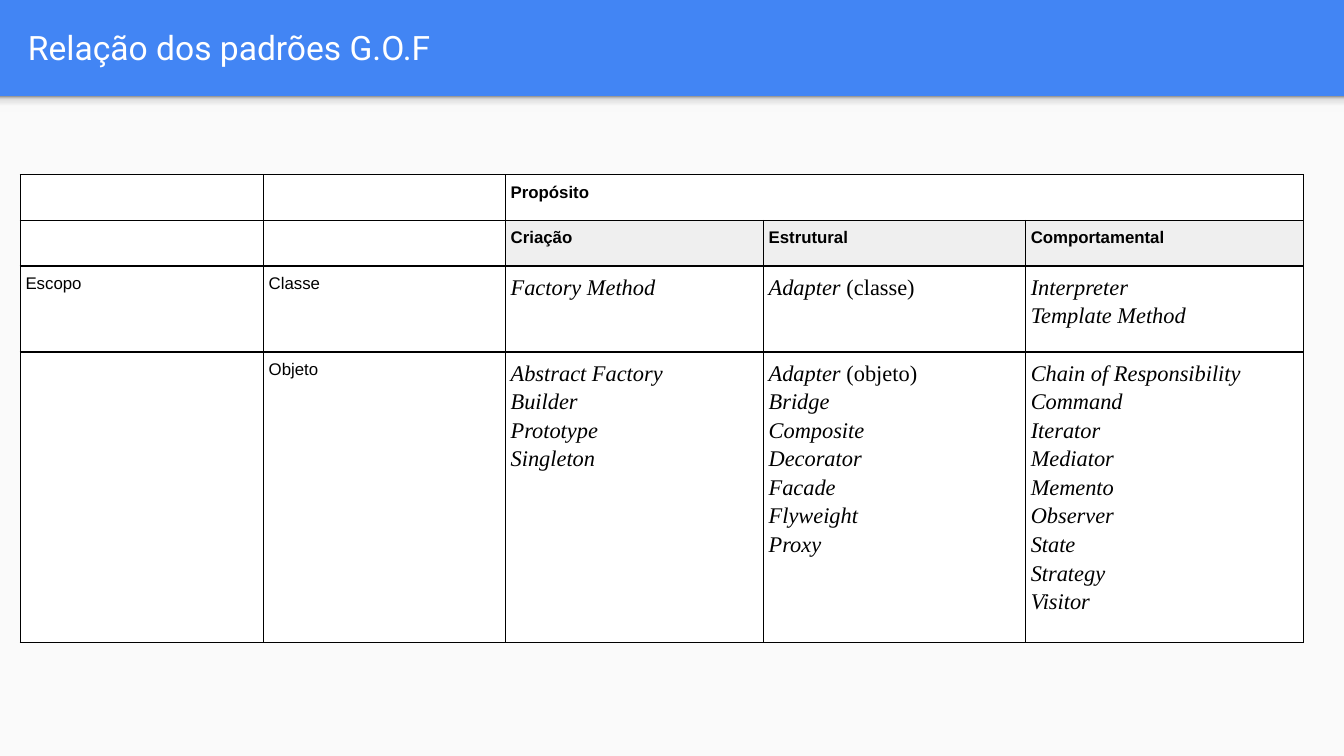
from lxml import etree
from pptx import Presentation
from pptx.dml.color import RGBColor
from pptx.enum.shapes import MSO_SHAPE
from pptx.enum.text import MSO_ANCHOR
from pptx.oxml import parse_xml
from pptx.oxml.ns import qn
from pptx.util import Inches, Pt

RECTANGLE = MSO_SHAPE.RECTANGLE
MIDDLE = MSO_ANCHOR.MIDDLE
DRAWING_NS = "http://schemas.openxmlformats.org/drawingml/2006/main"
COLORS = {
    "blue": "4285F4",
    "paper": "FAFAFA",
    "white": "FFFFFF",
    "header": "EFEFEF",
    "black": "000000",
}
SHADOW_STOPS = [(0, "F9F9F9"), (36, "F9F9F9"), (80, "DEDEDE"), (100, "999999")]


def add_text(paragraph, text, size=9, font="Arial", color="black",
             bold=False, italic=False, spacing=1.15):
    paragraph.line_spacing = spacing
    run = paragraph.add_run()
    run.text = text
    run.font.size = Pt(size)
    run.font.name = font
    run.font.bold = bold
    run.font.italic = italic
    run.font.color.rgb = RGBColor.from_string(COLORS[color])


def add_borders(cell, color="black", width=0.75):
    properties = cell._tc.get_or_add_tcPr()
    for index, side in enumerate(("lnL", "lnR", "lnT", "lnB")):
        line = etree.Element(qn(f"a:{side}"), w=str(Pt(width)))
        fill = etree.SubElement(line, qn("a:solidFill"))
        etree.SubElement(fill, qn("a:srgbClr"), val=COLORS[color])
        properties.insert(index, line)


# Widescreen slide, 16 by 9
presentation = Presentation()
presentation.slide_width = Inches(10)
presentation.slide_height = Inches(10) * 9 // 16
slide = presentation.slides.add_slide(presentation.slide_layouts[6])

# Blue background shows as the title band above the light body
slide.background.fill.solid()
slide.background.fill.fore_color.rgb = RGBColor.from_string(COLORS["blue"])

body_height = Inches(4.91)
body_top = presentation.slide_height - body_height
body = slide.shapes.add_shape(RECTANGLE, 0, body_top, Inches(10), body_height)
body.fill.solid()
body.fill.fore_color.rgb = RGBColor.from_string(COLORS["paper"])

# Soft shadow under the band, darkest at its top edge
band_shadow = slide.shapes.add_shape(RECTANGLE, 0, body_top, Inches(10), Inches(0.12))
stops = "".join(
    f'<a:gs pos="{position * 1000}"><a:srgbClr val="{color}"/></a:gs>'
    for position, color in SHADOW_STOPS
)
gradient = parse_xml(
    f'<a:gradFill xmlns:a="{DRAWING_NS}"><a:gsLst>{stops}</a:gsLst>'
    '<a:lin ang="16200000" scaled="0"/></a:gradFill>'
)
band_shadow._element.spPr.find(qn("a:prstGeom")).addnext(gradient)

for shape in (body, band_shadow):
    shape.line.fill.background()
    shape.shadow.inherit = False

# Title
title = slide.shapes.add_textbox(Inches(0.11), Inches(0.02), Inches(9.65), Inches(0.66))
frame = title.text_frame
frame.word_wrap = True
frame.vertical_anchor = MIDDLE
frame.margin_left = frame.margin_right = Inches(0.1)
frame.margin_top = frame.margin_bottom = Inches(0.1)
add_text(frame.paragraphs[0], "Relação dos padrões G.O.F",
         size=18, font="Roboto", color="white", spacing=1)

# Pattern table: each cell is a list of lines
column_widths = [1.81, 1.8, 1.92, 1.95, 2.07]
row_heights = [0.34, 0.34, 0.64, 2.16]
rows = [
    [[], [], ["Propósito"], [], []],
    [[], [], ["Criação"], ["Estrutural"], ["Comportamental"]],
    [["Escopo"], ["Classe"], ["Factory Method"], ["Adapter (classe)"],
     ["Interpreter", "Template Method"]],
    [[], ["Objeto"],
     ["Abstract Factory", "Builder", "Prototype", "Singleton"],
     ["Adapter (objeto)", "Bridge", "Composite", "Decorator", "Facade",
      "Flyweight", "Proxy"],
     ["Chain of Responsibility", "Command", "Iterator", "Mediator", "Memento",
      "Observer", "State", "Strategy", "Visitor"]],
]
table = slide.shapes.add_table(
    len(rows), len(column_widths), Inches(0.15), Inches(1.3),
    Inches(sum(column_widths)), Inches(sum(row_heights)),
).table
table.first_row = False
table.horz_banding = False
for column, width in zip(table.columns, column_widths):
    column.width = Inches(width)
for row, height in zip(table.rows, row_heights):
    row.height = Inches(height)
table.cell(0, 2).merge(table.cell(0, 4))

for row_index, row in enumerate(rows):
    for column_index, lines in enumerate(row):
        cell = table.cell(row_index, column_index)
        cell.margin_left = cell.margin_right = Inches(0.04)
        cell.margin_top = cell.margin_bottom = Inches(0.04)
        is_subheader = row_index == 1 and column_index >= 2
        is_pattern = row_index >= 2 and column_index >= 2
        cell.fill.solid()
        cell.fill.fore_color.rgb = RGBColor.from_string(
            COLORS["header" if is_subheader else "white"])
        add_borders(cell)

        for line_index, line in enumerate(lines):
            frame = cell.text_frame
            paragraph = frame.add_paragraph() if line_index else frame.paragraphs[0]
            if is_pattern:
                name, bracket, scope = line.partition("(")
                add_text(paragraph, name, size=12, font="Times New Roman", italic=True)
                if scope:
                    add_text(paragraph, bracket + scope, size=12, font="Times New Roman")
            else:
                add_text(paragraph, line, bold=row_index < 2)
        if not lines:
            # A small end mark keeps empty cells from stretching their row
            etree.SubElement(cell.text_frame.paragraphs[0]._p,
                             qn("a:endParaRPr"), sz="900")

presentation.save("out.pptx")
